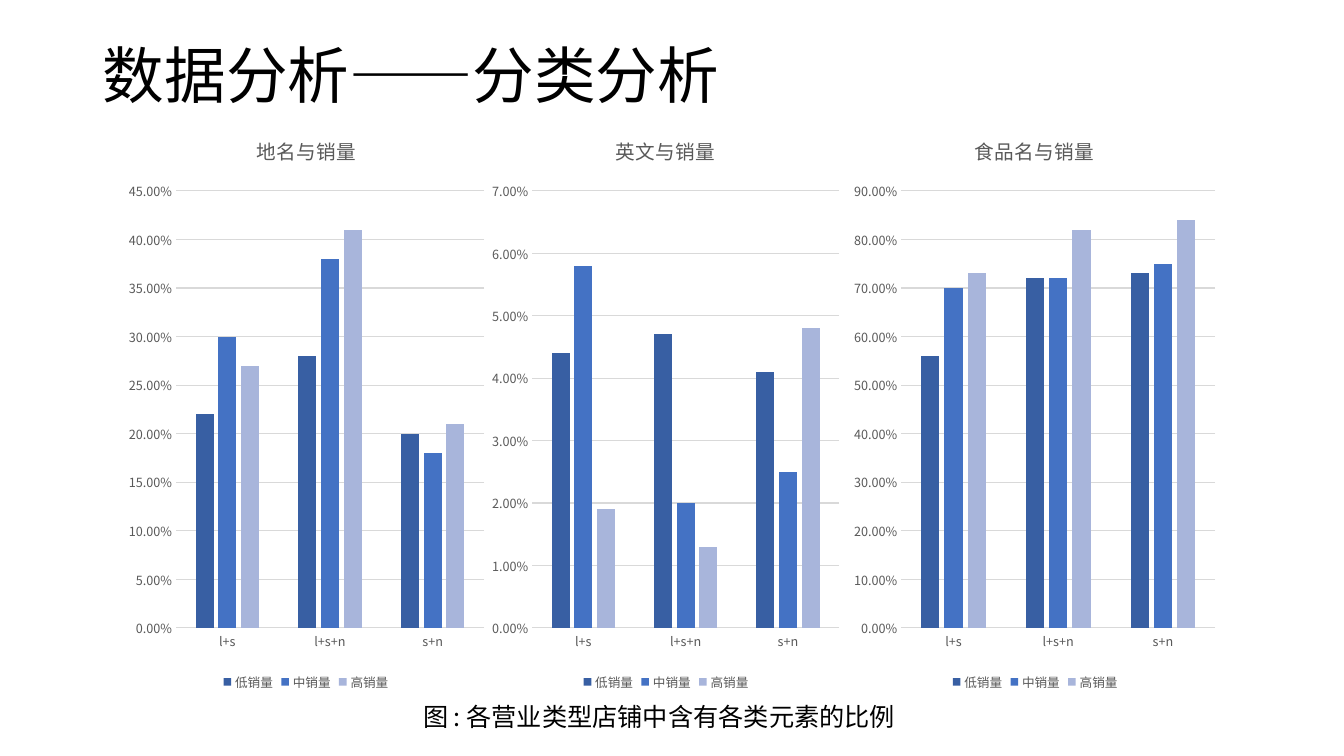
from lxml import etree
from pptx import Presentation
from pptx import util as u
from pptx.chart.data import CategoryChartData
from pptx.dml.color import RGBColor
from pptx.enum import chart as ch, text
from pptx.oxml import parse_xml
from pptx.oxml.ns import nsdecls, qn

BLACK = RGBColor(0, 0, 0)
GRAY = RGBColor(0x59, 0x59, 0x59)
RULE = RGBColor(0xD9, 0xD9, 0xD9)
NAVY = RGBColor(0x38, 0x5F, 0xA3)
BLUE = RGBColor(0x44, 0x72, 0xC4)
PALE = RGBColor(0xA8, 0xB5, 0xDB)
FACE = "Noto Sans CJK SC"

TEXTS = [
    ("数据分析——分类分析", (93, 40, 1159, 146), 44, 0.9, True),
    ("图 : 各营业类型店铺中含有各类元素的比例", (413, 696, 505, 72), 18, 1.0, False),
]
CATS = ["l+s", "l+s+n", "s+n"]
SERIES = [("低销量", NAVY), ("中销量", BLUE), ("高销量", PALE)]
TOP, HIGH = 113, 582
HEAD = 131
PLOT_TOP, PLOT_HIGH = 191, 437
CHARTS = [
    dict(title="地名与销量", left=121, wide=370, head=253, plot=(176, 308),
         peak=0.45, step=0.05,
         vals=[(0.22, 0.28, 0.2), (0.3, 0.38, 0.18), (0.27, 0.41, 0.21)]),
    dict(title="英文与销量", left=485, wide=362, head=612, plot=(532, 307),
         peak=0.07, step=0.01,
         vals=[(0.044, 0.047, 0.041), (0.058, 0.02, 0.025), (0.019, 0.013, 0.048)]),
    dict(title="食品名与销量", left=847, wide=376, head=971, plot=(901, 314),
         peak=0.9, step=0.1,
         vals=[(0.56, 0.72, 0.73), (0.7, 0.72, 0.75), (0.73, 0.82, 0.84)]),
]


def px(n):
    return u.Inches(n / 100.8)


def put(obj, **vals):
    for key, val in vals.items():
        setattr(obj, key, val)


def style(font, size, color):
    font.color.rgb = color
    put(font, size=u.Pt(size), bold=False, name=FACE)
    etree.SubElement(font._rPr, qn("a:ea")).set("typeface", FACE)


def layout(inner, **spots):
    target = '<c:layoutTarget val="inner"/>' if inner else ""
    modes = "".join(f'<c:{k}Mode val="edge"/>' for k in spots if k in "xy")
    sizes = "".join(f'<c:{k} val="{v:.4f}"/>' for k, v in spots.items())
    return parse_xml(f'<c:layout {nsdecls("c")}><c:manualLayout>{target}{modes}{sizes}'
                     '</c:manualLayout></c:layout>')


def set_layout(owner, after, node):
    for old in owner.findall(qn("c:layout")):
        owner.remove(old)
    if after is None:
        owner.insert(0, node)
    else:
        after.addnext(node)


def add_text(slide, words, box, size, space, wrap):
    frame = slide.shapes.add_textbox(*map(px, box)).text_frame
    put(frame, word_wrap=wrap, vertical_anchor=text.MSO_ANCHOR.TOP)
    if not wrap:
        frame.auto_size = text.MSO_AUTO_SIZE.SHAPE_TO_FIT_TEXT
    para = frame.paragraphs[0]
    para.line_spacing = space
    run = para.add_run()
    run.text = words
    style(run.font, size, BLACK)


def add_bars(slide, item):
    data = CategoryChartData(number_format="0.00%")
    data.categories = CATS
    for (name, _), vals in zip(SERIES, item["vals"]):
        data.add_series(name, vals)
    left, wide = item["left"], item["wide"]
    chart = slide.shapes.add_chart(ch.XL_CHART_TYPE.COLUMN_CLUSTERED,
                                   *map(px, (left, TOP, wide, HIGH)), data).chart
    style(chart.font, 10, BLACK)

    frame = chart.chart_title.text_frame
    run = frame.paragraphs[0].add_run()
    run.text = item["title"]
    style(run.font, 14, GRAY)
    title = chart.chart_title._element
    set_layout(title, title.find(qn("c:tx")),
               layout(False, x=(item["head"] - left) / wide, y=(HEAD - TOP) / HIGH))

    plot = chart.plots[0]
    put(plot, gap_width=219, overlap=-27, vary_by_categories=False)
    for series, (_, color) in zip(plot.series, SERIES):
        series.format.fill.solid()
        series.format.fill.fore_color.rgb = color
        series.invert_if_negative = False
    start, span = item["plot"]
    set_layout(chart._chartSpace.chart.plotArea, None,
               layout(True, x=(start - left) / wide, y=(PLOT_TOP - TOP) / HIGH,
                      w=span / wide, h=PLOT_HIGH / HIGH))

    cat, val = chart.category_axis, chart.value_axis
    for axis in (cat, val):
        put(axis, major_tick_mark=ch.XL_TICK_MARK.NONE, minor_tick_mark=ch.XL_TICK_MARK.NONE)
        style(axis.tick_labels.font, 9, GRAY)
    put(val, minimum_scale=0, maximum_scale=item["peak"], major_unit=item["step"],
        has_major_gridlines=True)
    put(val.tick_labels, number_format="0.00%", number_format_is_linked=False)
    val.format.line.fill.background()
    for line in (cat.format.line, val.major_gridlines.format.line):
        line.color.rgb = RULE
        line.width = u.Pt(0.75)

    chart.has_legend = True
    put(chart.legend, position=ch.XL_LEGEND_POSITION.BOTTOM, include_in_layout=False)
    style(chart.legend.font, 9, GRAY)


def main():
    deck = Presentation()
    put(deck, slide_width=u.Inches(13.33), slide_height=u.Inches(7.5))
    slide = deck.slides.add_slide(deck.slide_layouts[6])
    for item in CHARTS:
        add_bars(slide, item)
    for item in TEXTS:
        add_text(slide, *item)
    deck.save("out.pptx")


if __name__ == "__main__":
    main()
